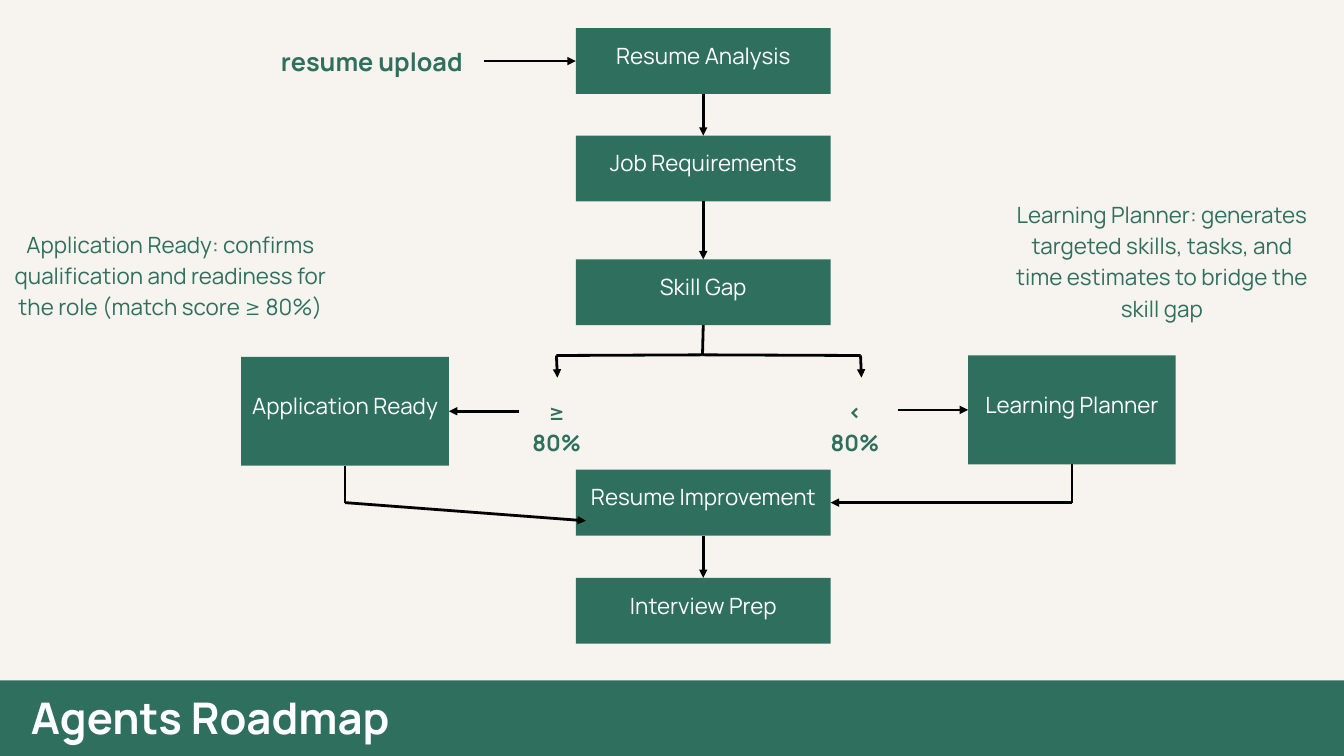
from lxml import etree
from pptx import Presentation
from pptx.dml.color import RGBColor
from pptx.enum import shapes, text
from pptx.oxml import ns
from pptx.util import Pt

COLORS = {"paper": "F7F4EF", "green": "2F6F5E", "white": "FFFFFF", "black": "000000"}
FONT = "Manrope"
WIDTH, HEIGHT = 1440, 810
BAND_TOP = 729

TITLE = "Agents Roadmap"
COLUMN_LEFT, COLUMN_SIZE = 617, (273, 70.5)
COLUMN = [  # step, top
    ("Resume Analysis", 30.2),
    ("Job Requirements", 145.4),
    ("Skill Gap", 277.9),
    ("Resume Improvement", 503.3),
    ("Interview Prep", 619.2),
]
SIDE_SIZE = (222.4, 116.6)
SIDES = [("Application Ready", 258.5, 382.3), ("Learning Planner", 1037.3, 380.9)]
NOTES = [  # words, (left, top, width, height), size, line spacing, bold
    ("≥ 80%", (564, 421.2, 65, 67.2), 24, 33.6, True),
    ("< 80%", (883.5, 421.2, 65, 67.2), 24, 33.6, True),
    ("resume upload", (297.5, 44.6, 202, 37.9), 27.1, 37.9, True),
    ("Application Ready: confirms qualification and readiness for the role "
     "(match score ≥ 80%)", (14.4, 242.6, 336.2, 100.8), 24, 33.6, False),
    ("Learning Planner: generates targeted skills, tasks, and time estimates "
     "to bridge the skill gap", (1080.7, 210.2, 328.3, 134.4), 24, 33.6, False),
]


def rgb(name):
    return RGBColor.from_string(COLORS[name])


def write(box, words, size, spacing, color, bold=False, align="CENTER",
          anchor="TOP", insets=(0, 0, 0, 0)):
    """Fill a box with one paragraph; insets run left, top, right, bottom."""
    frame = box.text_frame
    frame.text = words
    left, top, right, bottom = map(Pt, insets)
    frame_format = {
        "word_wrap": True, "auto_size": text.MSO_AUTO_SIZE.NONE,
        "vertical_anchor": text.MSO_ANCHOR[anchor],
        "margin_left": left, "margin_top": top,
        "margin_right": right, "margin_bottom": bottom,
    }
    para = frame.paragraphs[0]
    para_format = {"alignment": text.PP_ALIGN[align], "line_spacing": Pt(spacing),
                   "space_before": Pt(0)}
    span_format = {"name": FONT, "size": Pt(size), "bold": bold}
    font = para.runs[0].font
    for target, values in ((frame, frame_format), (para, para_format), (font, span_format)):
        for key, value in values.items():
            setattr(target, key, value)
    font.color.rgb = rgb(color)


def add_block(page, left, top, width, height):
    block = page.shapes.add_shape(shapes.MSO_SHAPE.RECTANGLE,
                                  *map(Pt, (left, top, width, height)))
    block.shadow.inherit = False
    block.fill.solid()
    block.fill.fore_color.rgb = rgb("green")
    block.line.fill.background()
    return block


def add_line(page, start, end, arrow=True):
    line = page.shapes.add_connector(shapes.MSO_CONNECTOR.STRAIGHT,
                                     *map(Pt, (*start, *end)))
    line.line.color.rgb = rgb("black")
    line.line.width = Pt(3)
    if arrow:
        etree.SubElement(line.line._get_or_add_ln(), ns.qn("a:tailEnd"), type="triangle")
    etree.SubElement(line._element.spPr, ns.qn("a:effectLst"))


def build():
    deck = Presentation()
    deck.slide_width, deck.slide_height = Pt(WIDTH), Pt(HEIGHT)
    page = deck.slides.add_slide(deck.slide_layouts[5])
    page.background.fill.solid()
    page.background.fill.fore_color.rgb = rgb("paper")

    band = add_block(page, 0, BAND_TOP, WIDTH, HEIGHT - BAND_TOP)
    title = page.shapes.title
    title._element.addprevious(band._element)
    for side, value in zip(("left", "top", "width", "height"), (33, 731, 409, 65.4)):
        setattr(title, side, Pt(value))
    write(title, TITLE, 46.7, 65.4, "white", bold=True, align="LEFT")

    blocks = [(name, COLUMN_LEFT, top, *COLUMN_SIZE) for name, top in COLUMN]
    blocks += [(name, left, top, *SIDE_SIZE) for name, left, top in SIDES]
    edges = {}
    for name, left, top, width, height in blocks:
        block = add_block(page, left, top, width, height)
        write(block, name, 24, 33.6, "white", anchor="MIDDLE",
              insets=(4.3, 4.3, 4.3, 21.5))
        middle, center = left + width / 2, top + height / 2
        edges[name] = {"top": (middle, top), "bottom": (middle, top + height),
                       "left": (left, center), "right": (left + width, center)}

    analysis, job, gap, improve, prep = (edges[name] for name, _ in COLUMN)
    ready, planner = (edges[name] for name, *_ in SIDES)
    for upper, lower in ((analysis, job), (job, gap), (improve, prep)):
        add_line(page, upper["bottom"], lower["top"])

    fork, fork_left, fork_right = (752.7, 380.2), (596.2, 380.9), (922, 380.9)
    add_line(page, gap["bottom"], fork, arrow=False)
    for corner in (fork_left, fork_right):
        add_line(page, fork, corner, arrow=False)
        add_line(page, corner, (corner[0] + 1, 404.6))

    add_line(page, (556.6, ready["right"][1]), ready["right"])
    add_line(page, (961.9, planner["left"][1]), planner["left"])
    add_line(page, (518.4, analysis["left"][1]), analysis["left"])
    for source, end in ((ready, (627.8, 558)), (planner, improve["right"])):
        corner = (source["bottom"][0], improve["right"][1])
        add_line(page, source["bottom"], corner, arrow=False)
        add_line(page, corner, end)

    for words, place, size, spacing, bold in NOTES:
        box = page.shapes.add_textbox(*map(Pt, place))
        write(box, words, size, spacing, "green", bold)

    deck.save("out.pptx")


if __name__ == "__main__":
    build()
